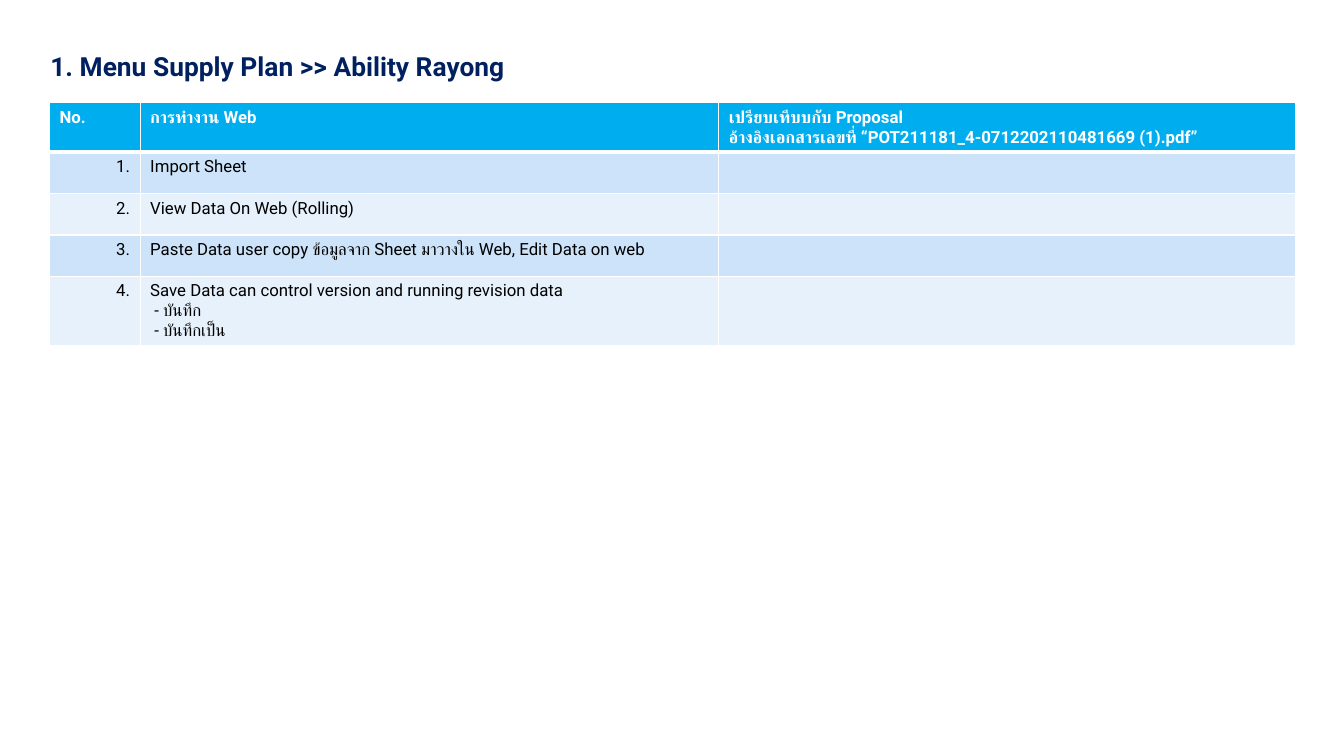
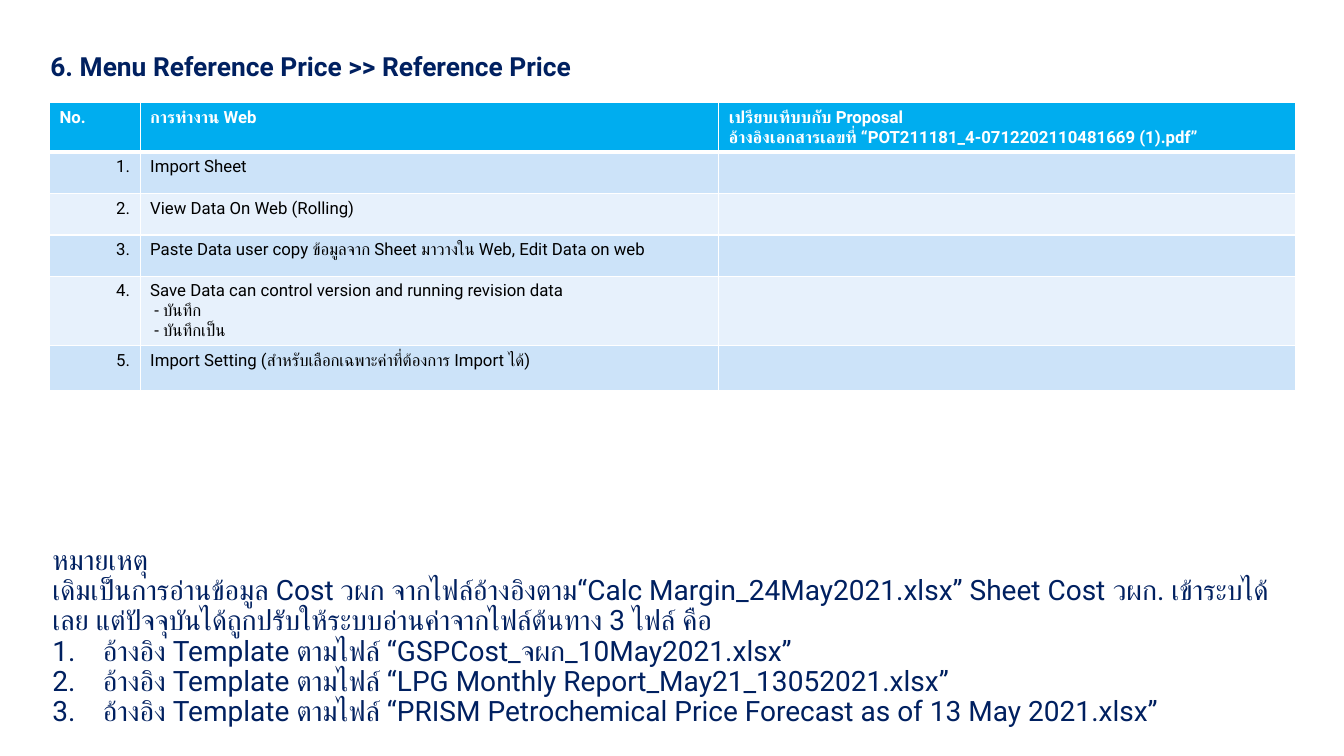
from lxml.etree import SubElement
from pptx import Presentation
from pptx.dml.color import RGBColor
from pptx.enum.text import MSO_ANCHOR, MSO_AUTO_SIZE, PP_ALIGN
from pptx.oxml.ns import qn
from pptx.util import Inches, Pt

NAVY = RGBColor(0x00, 0x20, 0x60)
SKY = RGBColor(0x00, 0xAD, 0xEF)
BAND_DARK = RGBColor(0xCC, 0xE3, 0xF9)
BAND_LIGHT = RGBColor(0xE7, 0xF1, 0xFC)
WHITE = RGBColor(0xFF, 0xFF, 0xFF)
BLACK = RGBColor(0x00, 0x00, 0x00)
FONT = "Roboto"

COLUMN_WIDTHS = [0.9, 5.74, 5.72]
HEADER = [
    ["No."],
    ["การทำงาน Web"],
    ["เปรียบเทีบบกับ Proposal",
     "อ้างอิงเอกสารเลขที่ “POT211181_4-0712202110481669 (1).pdf”"],
]
COMMON_FEATURES = [
    ["Import Sheet"],
    ["View Data On Web (Rolling)"],
    ["Paste Data user copy ข้อมูลจาก Sheet มาวางใน Web, Edit Data on web"],
    ["Save Data can control version and running revision data",
     " - บันทึก", " - บันทึกเป็น"],
]
IMPORT_SETTING = ["Import Setting (สำหรับเลือกเฉพาะค่าที่ต้องการ Import ได้)"]
REMARK = [
    "หมายเหตุ",
    "เดิมเป็นการอ่านข้อมูล Cost วผก จากไฟล์อ้างอิงตาม“Calc Margin_24May2021.xlsx” "
    "Sheet Cost วผก. เข้าระบได้เลย แต่ปัจจุบันได้ถูกปรับให้ระบบอ่านค่าจากไฟล์ต้นทาง 3 ไฟล์ คือ",
]
SOURCE_FILES = [
    "GSPCost_จผก_10May2021.xlsx",
    "LPG Monthly Report_May21_13052021.xlsx",
    "PRISM Petrochemical Price Forecast as of 13 May 2021.xlsx",
]

# Layout 5 holds a title only, layout 1 a title and a body
MENUS = [
    (5, "1. Menu Supply Plan >> Ability Rayong", COMMON_FEATURES, []),
    (1, "6. Menu Reference Price >> Reference Price",
     COMMON_FEATURES + [IMPORT_SETTING], SOURCE_FILES),
]


def write_lines(frame, lines, size, color, bold=False, align=PP_ALIGN.LEFT):
    """Fill a text frame with one paragraph per line."""
    for index, line in enumerate(lines):
        paragraph = frame.add_paragraph() if index else frame.paragraphs[0]
        paragraph.alignment = align
        paragraph.space_before = Pt(0)
        run = paragraph.add_run()
        run.text = line
        run.font.size = Pt(size)
        run.font.bold = bold
        run.font.color.rgb = color
        run.font.name = FONT
        SubElement(run.font._element, qn("a:cs"), typeface=FONT)


def style_cell(cell, fill, top, bottom):
    """Give a cell white borders and a solid fill."""
    properties = cell._tc.get_or_add_tcPr()
    for side, width in (("L", 1), ("R", 1), ("T", top), ("B", bottom)):
        border = SubElement(properties, qn(f"a:ln{side}"), w=str(Pt(width)))
        solid = SubElement(border, qn("a:solidFill"))
        SubElement(solid, qn("a:srgbClr"), val=str(WHITE))
    cell.fill.solid()
    cell.fill.fore_color.rgb = fill


prs = Presentation()
prs.slide_width, prs.slide_height = Inches(13.33), Inches(7.5)

for layout, heading, features, source_files in MENUS:
    slide = prs.slides.add_slide(prs.slide_layouts[layout])

    # Title
    title = slide.shapes.title
    title.left, title.top = Inches(0.4), Inches(0.4)
    title.width, title.height = Inches(9.95), Inches(0.5)
    title.text_frame.auto_size = MSO_AUTO_SIZE.NONE
    title.text_frame.vertical_anchor = MSO_ANCHOR.MIDDLE
    write_lines(title.text_frame, [heading], 18.8, NAVY, bold=True)

    # Feature table
    rows = [HEADER] + [[[f"{number}."], feature, []]
                       for number, feature in enumerate(features, 1)]
    row_heights = [0.41 if index < 4 else 0.45 for index in range(len(rows))]
    feature_table = slide.shapes.add_table(
        len(rows), len(COLUMN_WIDTHS), Inches(0.49), Inches(1.02),
        Inches(sum(COLUMN_WIDTHS)), Inches(sum(row_heights))).table
    for column, width in zip(feature_table.columns, COLUMN_WIDTHS):
        column.width = Inches(width)
    for r, (row, height) in enumerate(zip(rows, row_heights)):
        feature_table.rows[r].height = Inches(height)
        is_header = r == 0
        fill = SKY if is_header else BAND_DARK if r % 2 else BAND_LIGHT
        for c, lines in enumerate(row):
            cell = feature_table.cell(r, c)
            style_cell(cell, fill, top=3 if r == 1 else 1, bottom=3 if is_header else 1)
            is_number = c == 0 and not is_header
            write_lines(cell.text_frame, lines, 12, WHITE if is_header else BLACK,
                        is_header, PP_ALIGN.RIGHT if is_number else PP_ALIGN.LEFT)

    # Remark with the numbered source files
    if source_files:
        remark = slide.placeholders[1]
        remark.left, remark.top = Inches(0.42), Inches(5.37)
        remark.width, remark.height = Inches(12.36), Inches(1.9)
        remark.text_frame.auto_size = MSO_AUTO_SIZE.NONE
        remark.text_frame.vertical_anchor = MSO_ANCHOR.BOTTOM
        references = [f"อ้างอิง Template ตามไฟล์ “{name}”" for name in source_files]
        write_lines(remark.text_frame, REMARK + references, 20, NAVY)
        for index, paragraph in enumerate(remark.text_frame.paragraphs):
            paragraph.line_spacing = 0.9
            properties = paragraph._p.get_or_add_pPr()
            numbered = index >= len(REMARK)
            indent = Inches(0.5) if numbered else 0
            properties.set("marL", str(indent))
            properties.set("indent", str(-indent))
            if numbered:
                SubElement(properties, qn("a:buFont"), typeface="+mj-lt")
                SubElement(properties, qn("a:buAutoNum"), type="arabicPeriod")
            else:
                SubElement(properties, qn("a:buNone"))

prs.save("out.pptx")
